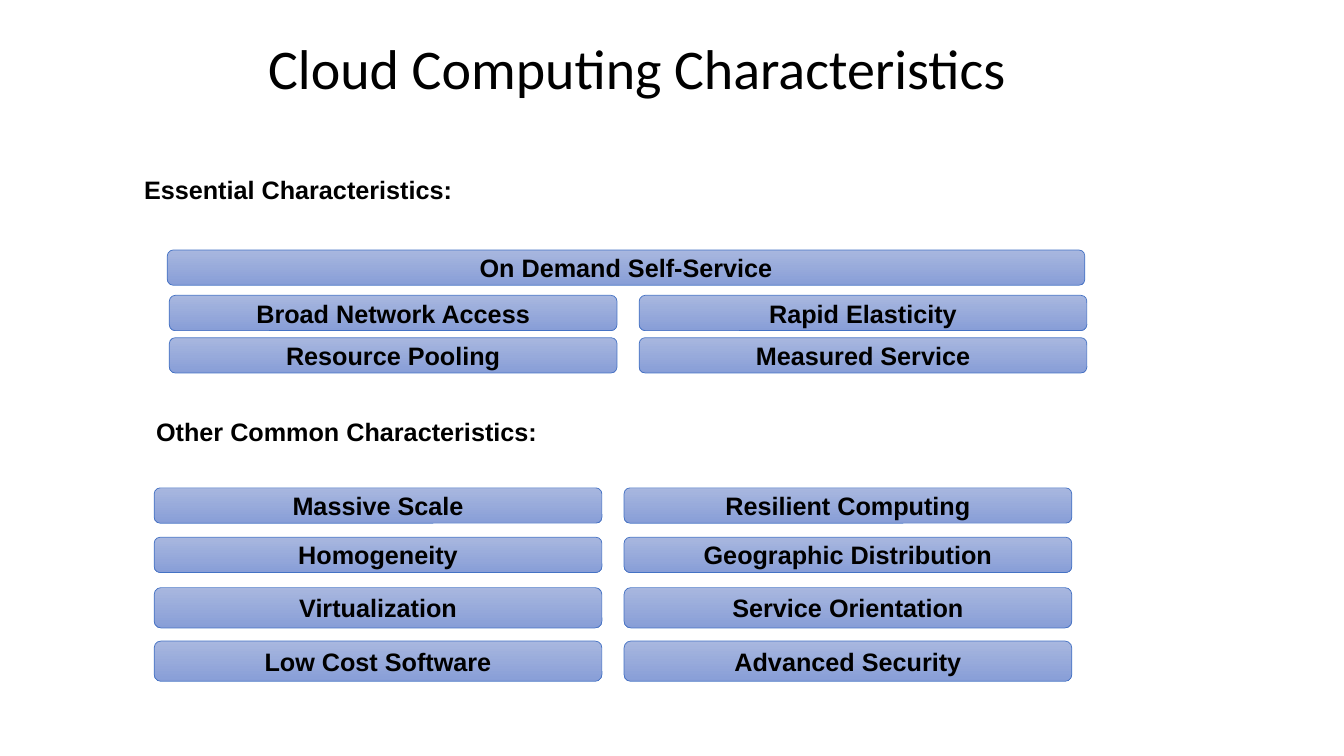
from dataclasses import dataclass

from pptx import Presentation
from pptx.dml.color import RGBColor
from pptx.enum.shapes import MSO_SHAPE
from pptx.enum.text import MSO_ANCHOR, MSO_AUTO_SIZE, PP_ALIGN
from pptx.util import Inches, Pt

ROUNDED = MSO_SHAPE.ROUNDED_RECTANGLE
MIDDLE = MSO_ANCHOR.MIDDLE
FIT_SHAPE = MSO_AUTO_SIZE.SHAPE_TO_FIT_TEXT
NO_FIT = MSO_AUTO_SIZE.NONE
LEFT, CENTER = PP_ALIGN.LEFT, PP_ALIGN.CENTER


@dataclass
class Theme:
    text: RGBColor = RGBColor.from_string("000000")
    bar_top: RGBColor = RGBColor.from_string("A8B7DF")
    bar_bottom: RGBColor = RGBColor.from_string("889ED7")
    bar_line: RGBColor = RGBColor.from_string("4472C4")
    title_font: str = "Calibri"
    body_font: str = "Arial"
    title_size: int = 40
    body_size: int = 18


theme = Theme()
COLUMN_WIDTH = 4.44
COLUMN_STEP = 4.66
LOW_BAR, HIGH_BAR = 0.35, 0.4


def write(shape, text, font_name, size, bold, alignment):
    paragraph = shape.text_frame.paragraphs[0]
    paragraph.alignment = alignment
    run = paragraph.add_run()
    run.text = text
    run.font.name = font_name
    run.font.size = Pt(size)
    run.font.bold = bold
    run.font.color.rgb = theme.text
    return paragraph


def add_bar(slide, left, top, width, height, label):
    bar = slide.shapes.add_shape(
        ROUNDED, Inches(left), Inches(top), Inches(width), Inches(height))
    bar.shadow.inherit = False
    bar.fill.gradient()
    bar.fill.gradient_angle = 270
    for stop, color in zip(bar.fill.gradient_stops, (theme.bar_top, theme.bar_bottom)):
        stop.color.rgb = color
    bar.line.color.rgb = theme.bar_line
    bar.line.width = Pt(0.5)
    bar.text_frame.word_wrap = True
    bar.text_frame.vertical_anchor = MIDDLE
    write(bar, label, theme.body_font, theme.body_size, True, CENTER)


presentation = Presentation()
presentation.slide_width = Inches(13.33)
presentation.slide_height = Inches(7.5)
slide = presentation.slides.add_slide(presentation.slide_layouts[5])

title = slide.shapes.title
title.left, title.top = Inches(2.56), Inches(0.08)
title.width, title.height = Inches(10.56), Inches(1.25)
title.text_frame.vertical_anchor = MIDDLE
title.text_frame.auto_size = NO_FIT
title_paragraph = write(title, "Cloud Computing Characteristics",
                        theme.title_font, theme.title_size, False, LEFT)
title_paragraph.line_spacing = 0.9

headings = [
    ("Essential Characteristics:", 1.33, 1.68, 3.29),
    ("Other Common Characteristics:", 1.45, 4.08, 4.02),
]
for text, left, top, width in headings:
    heading = slide.shapes.add_textbox(
        Inches(left), Inches(top), Inches(width), Inches(0.4))
    heading.text_frame.word_wrap = False
    heading.text_frame.auto_size = FIT_SHAPE
    write(heading, text, theme.body_font, theme.body_size, True, LEFT)

add_bar(slide, 1.66, 2.48, COLUMN_STEP + COLUMN_WIDTH, LOW_BAR, "On Demand Self-Service")

bar_rows = [
    (1.68, 2.93, LOW_BAR, ("Broad Network Access", "Rapid Elasticity")),
    (1.68, 3.35, LOW_BAR, ("Resource Pooling", "Measured Service")),
    (1.53, 4.84, LOW_BAR, ("Massive Scale", "Resilient Computing")),
    (1.53, 5.33, LOW_BAR, ("Homogeneity", "Geographic Distribution")),
    (1.53, 5.83, HIGH_BAR, ("Virtualization", "Service Orientation")),
    (1.53, 6.36, HIGH_BAR, ("Low Cost Software", "Advanced Security")),
]
for left, top, height, labels in bar_rows:
    for column, label in enumerate(labels):
        add_bar(slide, left + column * COLUMN_STEP, top, COLUMN_WIDTH, height, label)

presentation.save("out.pptx")
